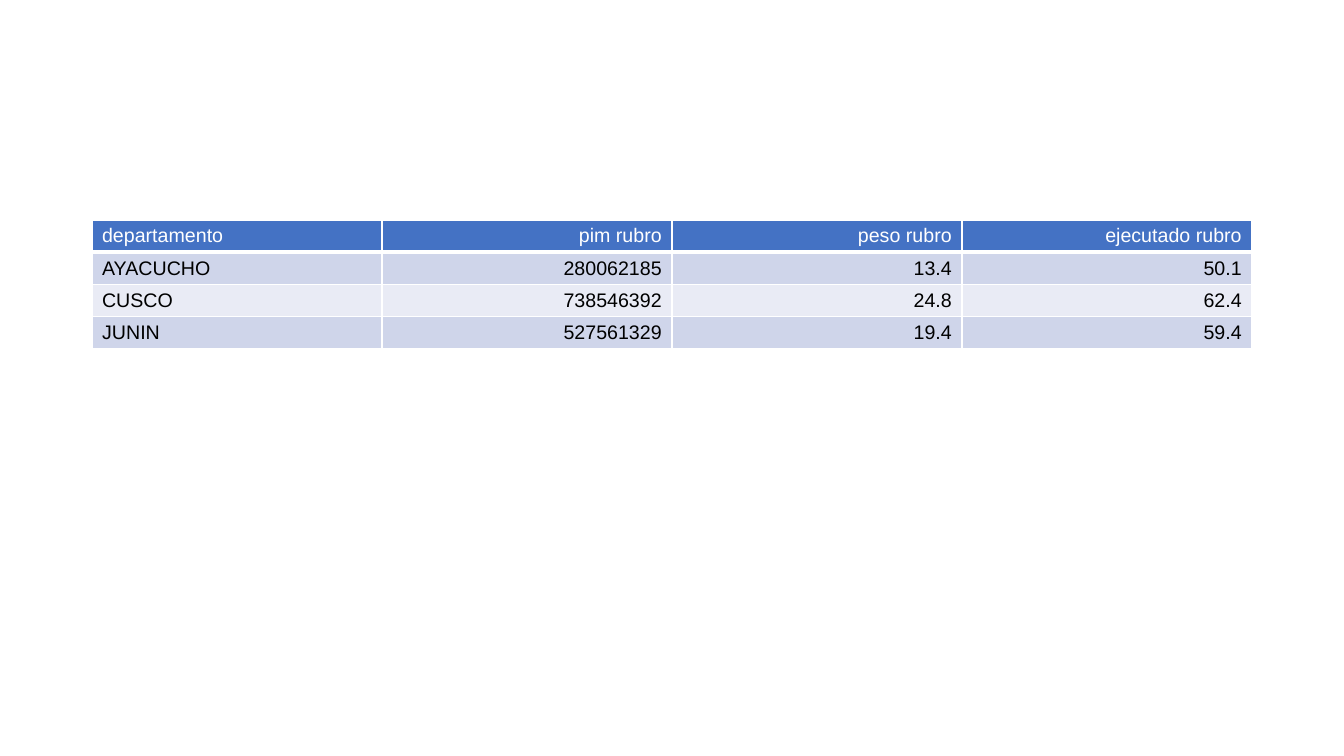
"""Build a slide with a table of budget figures by department."""
from lxml import etree
from pptx import Presentation, util as u
from pptx.dml.color import RGBColor
from pptx.enum import text
from pptx.oxml import ns

PX = 914400 / 100.8
HUES = {"head": "4472C4", "odd": "CFD5EA", "even": "E9EBF5", "white": "FFFFFF", "black": "000000"}
ROWS = [
    ("departamento", "pim rubro", "peso rubro", "ejecutado rubro"),
    ("AYACUCHO", "280062185", "13.4", "50.1"),
    ("CUSCO", "738546392", "24.8", "62.4"),
    ("JUNIN", "527561329", "19.4", "59.4"),
]
LEFT, TOP, WIDE, HIGH = 92, 220, 290, 32


def px(n):
    return u.Emu(round(n * PX))


def edge(cell, side, width):
    line = etree.SubElement(cell._tc.get_or_add_tcPr(), ns.qn("a:ln" + side), w=str(u.Pt(width)))
    fill = etree.SubElement(line, ns.qn("a:solidFill"))
    etree.SubElement(fill, ns.qn("a:srgbClr"), val=HUES["white"])


deck = Presentation()
deck.slide_width, deck.slide_height = px(1344), px(756)
slide = deck.slides.add_slide(deck.slide_layouts[6])

count = len(ROWS[0])
frame = slide.shapes.add_table(len(ROWS), count, px(LEFT), px(TOP), px(WIDE * count), px(HIGH * len(ROWS)))
table = frame.table
for col in table.columns:
    col.width = px(WIDE)

for r, row in enumerate(ROWS):
    table.rows[r].height = px(HIGH)
    band = "head" if r == 0 else "odd" if r % 2 else "even"
    ink = "white" if r == 0 else "black"
    for c, word in enumerate(row):
        cell = table.cell(r, c)
        for side in "LRTB":
            edge(cell, side, 3 if r == 0 and side == "B" else 1)
        cell.fill.solid()
        cell.fill.fore_color.rgb = RGBColor.from_string(HUES[band])
        cell.text = word
        para = cell.text_frame.paragraphs[0]
        para.alignment = text.PP_ALIGN.RIGHT if c else text.PP_ALIGN.LEFT
        font = para.runs[0].font
        for key, val in {"name": "Arial", "size": u.Pt(14), "bold": False}.items():
            setattr(font, key, val)
        font.color.rgb = RGBColor.from_string(HUES[ink])

deck.save("out.pptx")
